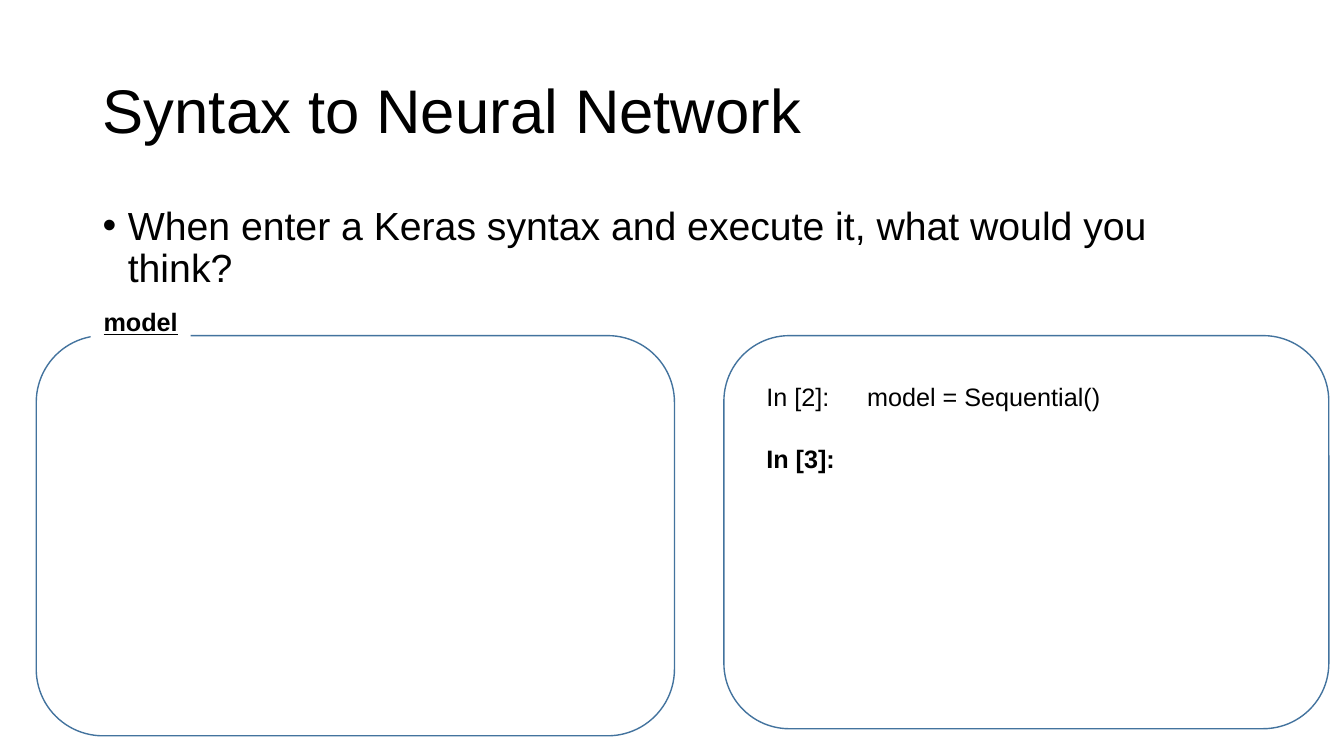
from pptx import Presentation
from pptx.dml.color import RGBColor
from pptx.enum.shapes import MSO_SHAPE as Shape
from pptx.enum.text import MSO_ANCHOR as Anchor, MSO_AUTO_SIZE as Fit, PP_ALIGN as Align
from pptx.oxml.xmlchemy import OxmlElement
from pptx.util import Inches, Pt

COLORS = {"text": "000000", "paper": "FFFFFF", "outline": "43739E"}
FONT = "Arial"
WIDTH, HEIGHT = 13.33, 7.5
MARGIN = 0.92
CONTENT_WIDTH = 11.5
PANEL_TOP = 3.33


def color(name):
    return RGBColor.from_string(COLORS[name])


def inches(*lengths):
    return [Inches(length) for length in lengths]


def add_text(paragraph, text, size, bold=False, underline=False):
    run = paragraph.add_run()
    run.text = text
    font = run.font
    font.name, font.size = FONT, Pt(size)
    font.bold, font.underline = bold, underline
    font.color.rgb = color("text")


def add_frame(slide, box):
    frame = slide.shapes.add_textbox(*inches(*box)).text_frame
    frame.word_wrap = True
    return frame


def add_title(slide, text, box):
    title = slide.shapes.title
    title.left, title.top, title.width, title.height = inches(*box)
    frame = title.text_frame
    frame.auto_size = Fit.NONE
    frame.vertical_anchor = Anchor.MIDDLE
    heading = frame.paragraphs[0]
    heading.alignment = Align.LEFT
    heading.line_spacing = 0.9
    add_text(heading, text, 44)


def add_bullet(slide, text, box):
    question = add_frame(slide, box).paragraphs[0]
    question.line_spacing = 0.9
    question.space_before = Pt(10)
    properties = question._p.get_or_add_pPr()
    properties.set("marL", str(Inches(0.25)))
    properties.set("indent", str(Inches(-0.25)))
    bullet_font = OxmlElement("a:buFont")
    bullet_font.set("typeface", FONT)
    bullet = OxmlElement("a:buChar")
    bullet.set("char", "•")
    properties.extend([bullet_font, bullet])
    add_text(question, text, 28)


def add_block(slide, preset, box, outline=None):
    block = slide.shapes.add_shape(preset, *inches(*box))
    block.shadow.inherit = False
    block.fill.solid()
    block.fill.fore_color.rgb = color("paper")
    if outline:
        block.line.color.rgb = color(outline)
        block.line.width = Pt(1)
    else:
        block.line.fill.background()
    return block


def add_label(slide, text, box):
    label = add_block(slide, Shape.RECTANGLE, box).text_frame.paragraphs[0]
    label.alignment = Align.CENTER
    add_text(label, text, 18, bold=True, underline=True)


def add_code_cells(slide, cells, box):
    frame = add_frame(slide, box)
    frame.margin_left = Inches(0.41)
    for index, (prompt, code, bold) in enumerate(cells):
        cell = frame.paragraphs[0] if index == 0 else frame.add_paragraph()
        if index:
            cell.space_before = Pt(23)
        add_text(cell, prompt, 18, bold)
        if code:
            stops = OxmlElement("a:tabLst")
            stop = OxmlElement("a:tab")
            stop.set("pos", str(Inches(1)))
            stop.set("algn", "l")
            stops.append(stop)
            cell._p.get_or_add_pPr().append(stops)
            add_text(cell, "\t" + code, 18, bold)


def main():
    deck = Presentation()
    deck.slide_width, deck.slide_height = inches(WIDTH, HEIGHT)
    slide = deck.slides.add_slide(deck.slide_layouts[5])

    add_title(slide, "Syntax to Neural Network", (MARGIN, 0.4, CONTENT_WIDTH, 1.45))
    add_bullet(slide, "When enter a Keras syntax and execute it, what would you think?",
               (MARGIN, 2, CONTENT_WIDTH, 4.76))
    for left, width, height in ((7.18, 6, 3.9), (0.36, 6.33, 3.97)):
        add_block(slide, Shape.ROUNDED_RECTANGLE, (left, PANEL_TOP, width, height), "outline")
    add_label(slide, "model", (0.9, 2.99, 0.99, 0.4))
    cells = (("In [2]:", "model = Sequential()", False), ("In [3]:", "", True))
    add_code_cells(slide, cells, (7.19, 3.73, 5.98, 1.01))

    deck.save("out.pptx")


if __name__ == "__main__":
    main()
